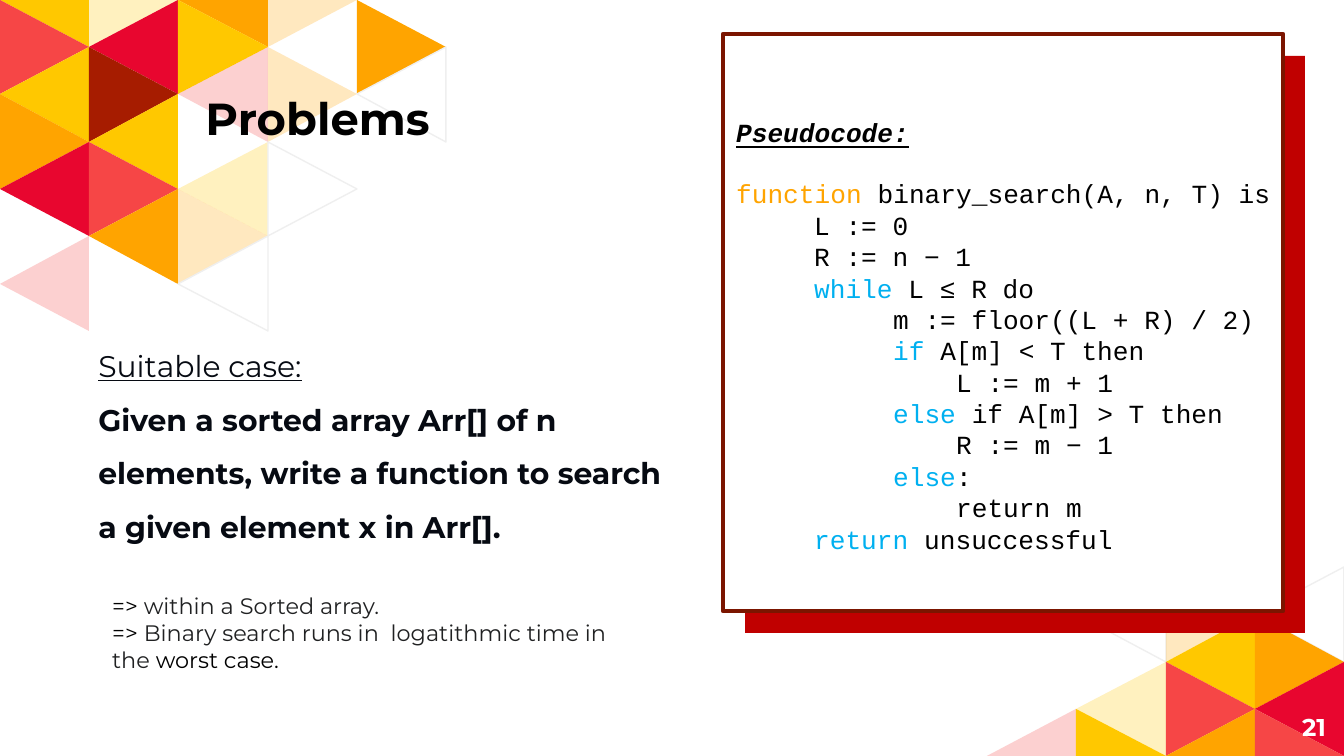
from lxml.etree import SubElement
from pptx import Presentation
from pptx.dml.color import RGBColor as Rgb
from pptx.enum.shapes import MSO_SHAPE as Kind
from pptx.enum.text import MSO_ANCHOR as Anchor, MSO_AUTO_SIZE as Fit, PP_ALIGN as Align
from pptx.oxml.ns import qn
from pptx.util import Pt

PX = 914400 / 134.4
WIDE, HIGH = 1344, 756
COL, ROW = 357 / 4, 189 / 4
HEX = {
    "O": "FFA400", "Y": "FFC800", "R": "F64646", "C": "E8062F", "B": "A61C00",
    "W": "FFFFFF", "edge": "EFEFEF", "shade": "C00000", "frame": "7B1500",
    "black": "000000", "navy": "060A12", "gray": "202122", "blue": "00B0F0",
}
TOP = ["YyOo.", "RCY.O", "YBroW", "OY...", "CRyW.", ".Oo..", "r.W.."]
BASE = [".WoW", "..YO", ".yRC", "rYOR"]

MONT = {"name": "Montserrat"}
MONO = {"name": "Courier New", "size": Pt(14)}
TIGHT = dict.fromkeys(
    ("margin_left", "margin_top", "margin_right", "margin_bottom"), round(13.44 * PX))
LOOSE = {"margin_left": round(13.44 * PX), "margin_right": round(13.44 * PX),
         "margin_top": round(6.72 * PX), "margin_bottom": round(6.72 * PX)}
GROW = {**LOOSE, "auto_size": Fit.SHAPE_TO_FIT_TEXT, "vertical_anchor": Anchor.TOP}

CODE = [
    (0, "function", "O", " binary_search(A, n, T) is"),
    (5, "", "blue", "L := 0"),
    (5, "", "blue", "R := n − 1"),
    (5, "while", "blue", " L ≤ R do"),
    (10, "", "blue", "m := floor((L + R) / 2)"),
    (10, "if", "blue", " A[m] < T then"),
    (14, "", "blue", "L := m + 1"),
    (10, "else", "blue", " if A[m] > T then"),
    (14, "", "blue", "R := m − 1"),
    (10, "else", "blue", ":"),
    (14, "", "blue", "return m"),
    (5, "return", "blue", " unsuccessful"),
]


def emu(*nums):
    return [round(n * PX) for n in nums]


def apply(obj, form):
    for key, val in form.items():
        setattr(obj, key, val)


def paint(shape, fill, line=None, width=0.75):
    shape.shadow.inherit = False
    shape.fill.solid()
    shape.fill.fore_color.rgb = Rgb.from_string(HEX[fill])
    if line:
        shape.line.color.rgb = Rgb.from_string(HEX[line])
        shape.line.width = Pt(width)
    else:
        shape.line.fill.background()


def fade(shape):
    tint = shape._element.spPr.find(qn("a:solidFill"))[0]
    SubElement(tint, qn("a:alpha"), val="25000")


def wedge(slide, left, top, col, row, code):
    def spot(i, j):
        y = min(max(top + j * ROW, 0), HIGH)
        return round(left + i * COL), round(y)

    back = (col + row) % 2
    ends = [spot(col + back, row), spot(col + back, row + 2),
            spot(col + 1 - back, row + 1)]
    pen = slide.shapes.build_freeform(*ends[0], scale=PX)
    pen.add_line_segments(ends[1:], close=True)
    shape = pen.convert_to_shape()
    paint(shape, code.upper(), "edge" if code == "W" else None)
    if code.islower():
        fade(shape)


def mosaic(slide, left, top, first, grid):
    for row, codes in enumerate(grid, first):
        for col, code in enumerate(codes):
            if code != ".":
                wedge(slide, left, top, col, row, code)


def panel(slide, area, *look):
    paint(slide.shapes.add_shape(Kind.RECTANGLE, *emu(*area)), *look)


def label(slide, area, frame, paras, holder=None):
    box = holder or slide.shapes.add_textbox(*emu(*area))
    apply(box, dict(zip(("left", "top", "width", "height"), emu(*area))))
    slide.shapes._spTree.append(box._element)
    text = box.text_frame
    apply(text, {"word_wrap": True, **frame})
    for n, (form, indent, runs) in enumerate(paras):
        para = text.add_paragraph() if n else text.paragraphs[0]
        apply(para, {"alignment": Align.LEFT, "space_before": Pt(0), **form})
        prop = para._p.get_or_add_pPr()
        prop.set("marL", str(round(indent * PX)))
        prop.set("indent", "0")
        SubElement(prop, qn("a:buNone"))
        for words, tint, font in runs:
            run = para.add_run()
            run.text = words
            apply(run.font, font)
            run.font.color.rgb = Rgb.from_string(HEX[tint])


def listing():
    head = {**MONO, "bold": True, "italic": True, "underline": True}
    paras = [({"space_after": Pt(16)}, 0, [("Pseudocode:", "black", head)])]
    for step, word, tint, rest in CODE:
        runs = [(word, tint, MONO), (rest, "black", MONO)]
        paras.append(({}, round(step * 15.68), [r for r in runs if r[0]]))
    return paras


def main():
    deck = Presentation()
    deck.slide_width, deck.slide_height = emu(WIDE, HIGH)
    slide = deck.slides.add_slide(deck.slide_layouts[1])
    title, body = slide.placeholders

    mosaic(slide, 987, 567, 0, BASE)
    mosaic(slide, 0, 0, -1, TOP)
    panel(slide, (745, 56, 560, 577), "shade")

    bold = {**MONT, "bold": True}
    label(slide, (192, 60, 348, 98),
          {**TIGHT, "auto_size": Fit.NONE, "vertical_anchor": Anchor.BOTTOM},
          [({}, 0, [("Problems", "black", {**bold, "size": Pt(24)})])], title)
    label(slide, (1258, 698, 81, 58), {**TIGHT, "vertical_anchor": Anchor.MIDDLE},
          [({"alignment": Align.RIGHT}, 0, [("21", "W", {**bold, "size": Pt(13)})])])

    wide = {"line_spacing": 1.5}
    task = "Given a sorted array Arr[] of n elements, write a function to search a given element x in Arr[]."
    label(slide, (85, 323, 616, 224), GROW, [
        (wide, 0, [("Suitable case:", "navy", {**MONT, "size": Pt(16), "underline": True})]),
        (wide, 0, [(task, "navy", {**bold, "size": Pt(16)})]),
    ], body)

    panel(slide, (723, 34, 560, 577), "W", "frame", 2.5)
    label(slide, (723, 110, 621, 457), GROW, listing())

    small = {**MONT, "size": Pt(12)}
    label(slide, (99, 586, 523, 95), GROW, [
        ({}, 0, [("=> ", "black", small), ("within a Sorted array.", "gray", small)]),
        ({}, 0, [("=> ", "black", small),
                 ("Binary search runs in  logatithmic time in the ", "gray", small),
                 ("worst case.", "black", small)]),
    ])
    deck.save("out.pptx")


if __name__ == "__main__":
    main()
